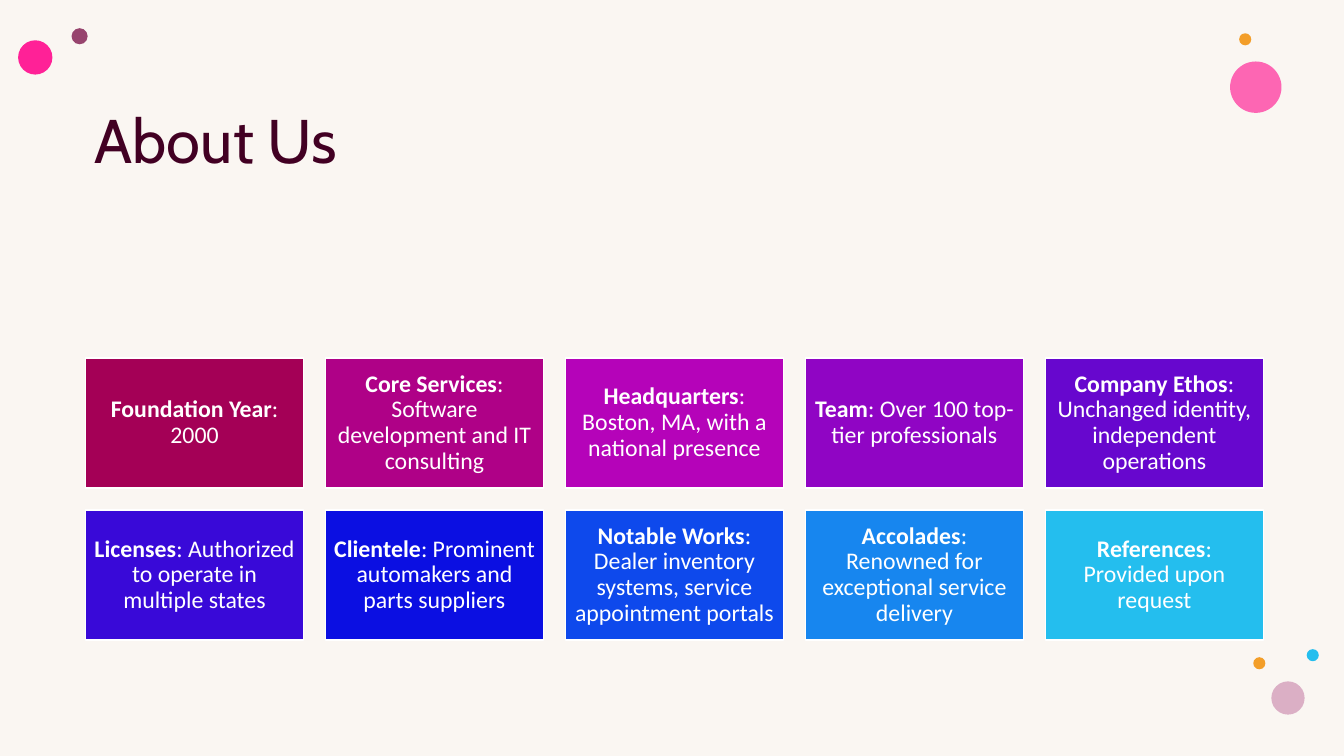
from lxml import etree
from pptx import Presentation
from pptx.dml.color import RGBColor
from pptx.enum.shapes import MSO_SHAPE as Shape
from pptx.enum.text import MSO_ANCHOR as Anchor, MSO_AUTO_SIZE as AutoSize, PP_ALIGN as Align
from pptx.oxml.ns import qn
from pptx.util import Inches, Pt

TITLE = "About Us"
FACTS = [  # heading, detail, tile colour
    ("Foundation Year", "2000", "A40056"),
    ("Core Services", "Software development and IT consulting", "AF0187"),
    ("Headquarters", "Boston, MA, with a national presence", "B503B9"),
    ("Team", "Over 100 top-tier professionals", "9005C4"),
    ("Company Ethos", "Unchanged identity, independent operations", "6707CE"),
    ("Licenses", "Authorized to operate in multiple states", "3909D8"),
    ("Clientele", "Prominent automakers and parts suppliers", "0B0FE2"),
    ("Notable Works", "Dealer inventory systems, service appointment portals", "0E49EC"),
    ("Accolades", "Renowned for exceptional service delivery", "1786EF"),
    ("References", "Provided upon request", "24BEEE"),
]
DOTS = [  # left, top, diameter, colour, opacity in percent
    (0.71, 0.28, 0.16, "97446E", 100),
    (12.2, 0.61, 0.51, "FF2F9C", 72),
    (12.29, 0.33, 0.12, "F39E29", 100),
    (0.18, 0.4, 0.34, "FF2197", 100),
    (12.96, 6.44, 0.12, "24BEEE", 100),
    (12.61, 6.76, 0.33, "DBAFC5", 100),
    (12.43, 6.52, 0.12, "F39E29", 100),
]
BACKGROUND, TITLE_COLOR, WHITE = "FAF6F2", "420023", "FFFFFF"
COLUMNS = 5
GRID_LEFT, GRID_TOP = 0.85, 3.55
TILE_WIDTH, TILE_HEIGHT = 2.16, 1.29
GAP = 0.22


def paint(fill_format, color):
    fill_format.solid()
    fill_format.fore_color.rgb = RGBColor.from_string(color)


def add_filled(slide, kind, left, top, width, height, color):
    shape = slide.shapes.add_shape(
        kind, Inches(left), Inches(top), Inches(width), Inches(height))
    shape.shadow.inherit = False
    paint(shape.fill, color)
    return shape


def add_dot(slide, left, top, diameter, color, opacity):
    dot = add_filled(slide, Shape.OVAL, left, top, diameter, diameter, color)
    dot.line.fill.background()
    if opacity < 100:
        color_element = dot.fill._xPr.find(".//" + qn("a:srgbClr"))
        etree.SubElement(color_element, qn("a:alpha")).set("val", str(opacity * 1000))


def add_tile(slide, index, heading, detail, color):
    row, column = divmod(index, COLUMNS)
    tile = add_filled(slide, Shape.RECTANGLE,
                      GRID_LEFT + column * (TILE_WIDTH + GAP),
                      GRID_TOP + row * (TILE_HEIGHT + GAP),
                      TILE_WIDTH, TILE_HEIGHT, color)
    paint(tile.line.fill, WHITE)
    tile.line.width = Pt(1)

    frame = tile.text_frame
    frame.word_wrap = True
    frame.vertical_anchor = Anchor.MIDDLE
    frame.margin_left = frame.margin_right = Inches(0.07)
    frame.margin_top = frame.margin_bottom = Inches(0.07)
    paragraph = frame.paragraphs[0]
    paragraph.alignment = Align.CENTER
    paragraph.line_spacing = 0.9
    paragraph.font.name = "Calibri"
    paragraph.font.size = Pt(17)
    paint(paragraph.font.fill, WHITE)
    for text, bold in ((heading, True), (": " + detail, False)):
        run = paragraph.add_run()
        run.text = text
        run.font.bold = bold


def add_title(slide):
    title = slide.shapes.title
    title.left, title.top = Inches(0.84), Inches(1.04)
    title.width, title.height = Inches(11.78), Inches(1.97)
    frame = title.text_frame
    frame.text = TITLE
    frame.auto_size = AutoSize.NONE
    frame.vertical_anchor = Anchor.TOP
    paragraph = frame.paragraphs[0]
    paragraph.alignment = Align.LEFT
    paragraph.line_spacing = 0.9
    paragraph.font.name = "Cabin"
    paragraph.font.size = Pt(44)
    paint(paragraph.font.fill, TITLE_COLOR)


def main():
    presentation = Presentation()
    presentation.slide_width, presentation.slide_height = Inches(13.33), Inches(7.5)
    slide = presentation.slides.add_slide(presentation.slide_layouts[5])
    paint(slide.background.fill, BACKGROUND)

    # Decorative dots in the corners
    for dot in DOTS:
        add_dot(slide, *dot)

    # Title and grid of facts
    add_title(slide)
    for index, fact in enumerate(FACTS):
        add_tile(slide, index, *fact)

    presentation.save("out.pptx")


if __name__ == "__main__":
    main()
